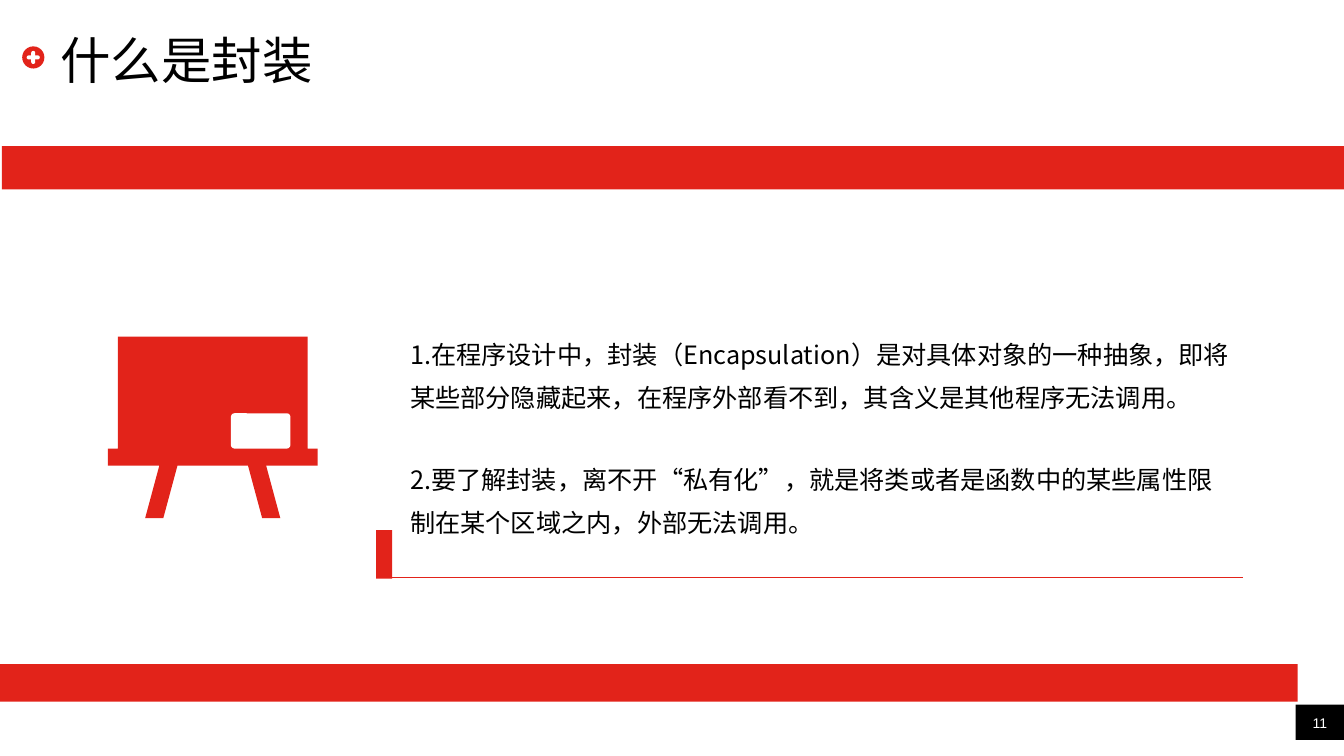
from lxml.etree import SubElement
from pptx import Presentation
from pptx.dml.color import RGBColor
from pptx.enum.shapes import MSO_CONNECTOR, MSO_SHAPE as SHAPE
from pptx.enum.text import MSO_ANCHOR as ANCHOR, MSO_AUTO_SIZE as AUTO, PP_ALIGN as ALIGN
from pptx.oxml.ns import qn
from pptx.util import Inches, Pt

COLORS = {"red": "E2231A", "black": "000000", "white": "FFFFFF"}
CJK_FONT = "Noto Sans CJK SC"


def rgb(name):
    return RGBColor.from_string(COLORS[name])


def paint(sp, color):
    sp.shadow.inherit = False
    sp.fill.solid()
    sp.fill.fore_color.rgb = rgb(color)
    sp.line.fill.background()


def add_block(slide, kind, x, y, w, h, color):
    sp = slide.shapes.add_shape(kind, Inches(x), Inches(y), Inches(w), Inches(h))
    paint(sp, color)
    return sp


def set_font(p, size, name=CJK_FONT, color="black"):
    p.font.size = Pt(size)
    p.font.name = name
    p.font.color.rgb = rgb(color)
    # East Asian characters take their own typeface entry
    def_rpr = p._p.pPr.find(qn("a:defRPr"))
    SubElement(def_rpr, qn("a:ea")).set("typeface", name)


def clear_margins(tf):
    tf.margin_left = tf.margin_right = tf.margin_top = tf.margin_bottom = 0


def add_title(slide, x, y, w, h, text):
    # Round plus badge to the left of the title
    size, arm, bar = 0.22, 0.13, 0.04
    badge_x, badge_y = x - 0.38, y + 0.16
    add_block(slide, SHAPE.OVAL, badge_x, badge_y, size, size, "red")
    for bar_w, bar_h in ((arm, bar), (bar, arm)):
        sp = add_block(slide, SHAPE.ROUNDED_RECTANGLE, badge_x + (size - bar_w) / 2,
                       badge_y + (size - bar_h) / 2, bar_w, bar_h, "white")
        sp.adjustments[0] = 0.5

    # Title text
    title = slide.shapes.title
    title.left, title.top, title.width, title.height = map(Inches, (x, y, w, h))
    tf = title.text_frame
    tf.text = text
    tf.auto_size = AUTO.NONE
    tf.vertical_anchor = ANCHOR.MIDDLE
    clear_margins(tf)
    p = tf.paragraphs[0]
    p.alignment = ALIGN.LEFT
    set_font(p, 36)


def add_blackboard(slide, x, y, w, h):
    ledge_top, ledge_bottom, inset = 1.11, 1.28, 0.1
    outline = [
        (w, ledge_top), (w - inset, ledge_top), (w - inset, 0), (inset, 0),
        (inset, ledge_top), (0, ledge_top), (0, ledge_bottom),
        (0.51, ledge_bottom), (0.37, h), (0.55, h), (0.69, ledge_bottom),
        (w - 0.69, ledge_bottom), (w - 0.55, h), (w - 0.37, h),
        (w - 0.51, ledge_bottom), (w, ledge_bottom),
    ]
    points = [(Inches(x + px), Inches(y + py)) for px, py in outline]
    builder = slide.shapes.build_freeform(*points[0])
    builder.add_line_segments(points[1:], close=True)
    paint(builder.convert_to_shape(), "red")
    # Label in the lower right corner of the board
    label = add_block(slide, SHAPE.ROUNDED_RECTANGLE, x + 1.22, y + 0.76, 0.59, 0.35, "white")
    label.adjustments[0] = 0.1


def add_explanation(slide, x, y, w, h, texts):
    sp = slide.shapes.add_textbox(Inches(x), Inches(y), Inches(w), Inches(h))
    tf = sp.text_frame
    tf.word_wrap = True
    for i, text in enumerate(texts):
        p = tf.paragraphs[0] if i == 0 else tf.add_paragraph()
        p.text = text
        p.line_spacing = 1.4
        p.space_before = Pt(29 if i else 0)
        set_font(p, 18)

    # Thin rule with a marker block under the text
    left, bottom = x - 0.24, y + h + 0.46
    rule = slide.shapes.add_connector(MSO_CONNECTOR.STRAIGHT, Inches(left), Inches(bottom),
                                      Inches(x + w), Inches(bottom))
    rule.line.color.rgb = rgb("red")
    rule.line.width = Pt(0.75)
    SubElement(rule._element.spPr, qn("a:effectLst"))
    add_block(slide, SHAPE.RECTANGLE, left, bottom - 0.47, 0.16, 0.48, "red")


def add_page_number(slide, x, y, w, h, number):
    add_block(slide, SHAPE.RECTANGLE, x, y, w, h, "black")
    sp = slide.shapes.add_textbox(Inches(x), Inches(y), Inches(w), Inches(0.27))
    tf = sp.text_frame
    tf.word_wrap = True
    tf.vertical_anchor = ANCHOR.BOTTOM
    clear_margins(tf)
    p = tf.paragraphs[0]
    p.text = str(number)
    p.alignment = ALIGN.CENTER
    set_font(p, 10, "Arial", "white")


def main():
    prs = Presentation()
    prs.slide_width, prs.slide_height = Inches(13.33), Inches(7.5)
    slide = prs.slides.add_slide(prs.slide_layouts[5])

    add_page_number(slide, 12.85, 6.99, 0.48, 0.35, 11)
    add_title(slide, 0.6, 0.3, 12.11, 0.57, "什么是封装")
    add_blackboard(slide, 1.07, 3.34, 2.08, 1.8)
    add_explanation(slide, 3.97, 3.2, 8.36, 2.07, [
        "1.在程序设计中，封装（Encapsulation）是对具体对象的一种抽象，"
        "即将某些部分隐藏起来，在程序外部看不到，其含义是其他程序无法调用。",
        "2.要了解封装，离不开“私有化”，就是将类或者是函数中的某些属性"
        "限制在某个区域之内，外部无法调用。",
    ])
    # Red bands above and below the content
    add_block(slide, SHAPE.RECTANGLE, 0.02, 1.45, 13.33, 0.43, "red")
    add_block(slide, SHAPE.RECTANGLE, 0, 6.59, 12.87, 0.37, "red")

    prs.save("out.pptx")


if __name__ == "__main__":
    main()
